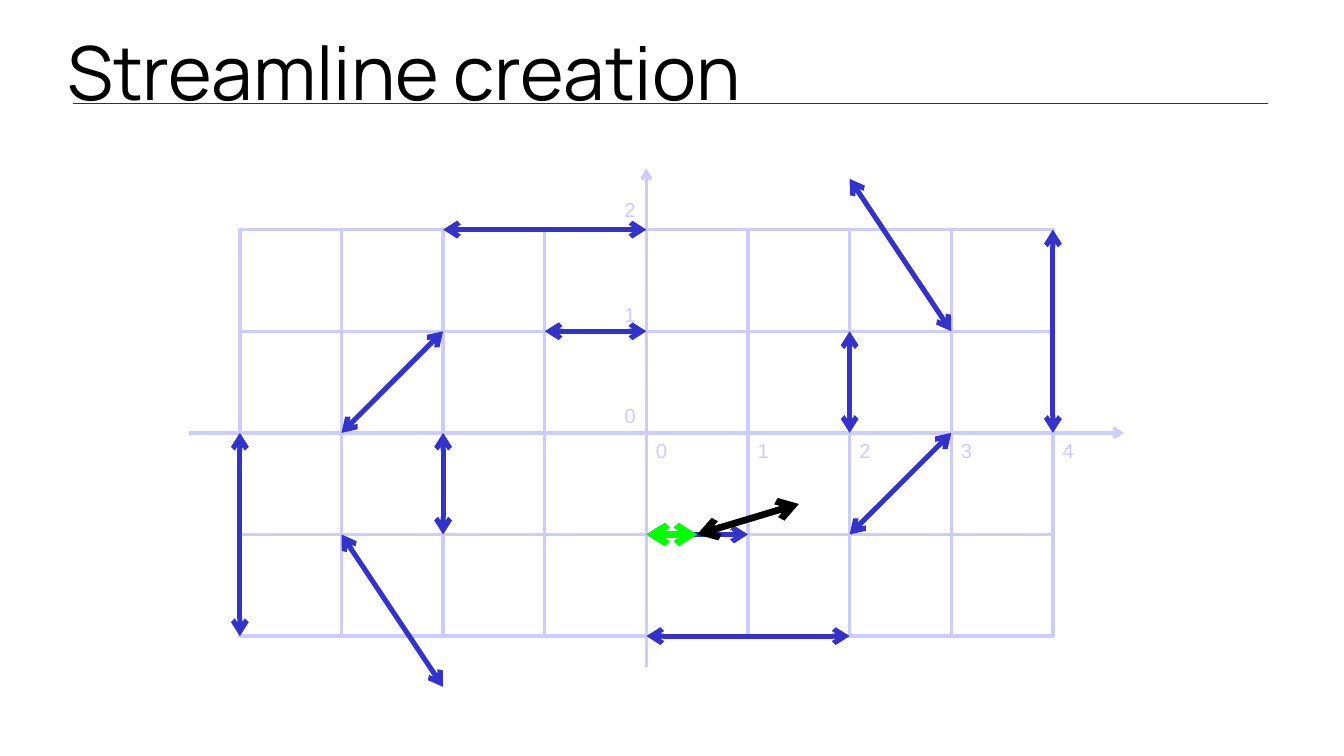
from lxml.etree import SubElement
from pptx import Presentation
from pptx.dml.color import RGBColor as RGB
from pptx.enum.shapes import MSO_CONNECTOR as LINK, MSO_SHAPE as SHAPE
from pptx.enum.text import MSO_ANCHOR as ANCHOR, PP_ALIGN as ALIGN
from pptx.oxml.ns import qn
from pptx.util import Inches, Pt

COLORS = {"rule": "333333", "grid": "CCCCFF", "field": "3333CC",
          "step": "00FF00", "next": "000000", "title": "000000"}
WIDTH, HEIGHT = 11.02, 6.2
UNIT = 5 / 6                      # one grid cell, in inches
ORIGIN_X, ORIGIN_Y = 5.3, 3.55    # where the axes cross
LABEL_W, LABEL_H = 0.29, 0.3

deck = Presentation()
deck.slide_width, deck.slide_height = Inches(WIDTH), Inches(HEIGHT)
slide = deck.slides.add_slide(deck.slide_layouts[6])


def draw_line(start, end, color, weight, ends=()):
    """Draw a line between two points in grid units, y pointing up."""
    (x1, y1), (x2, y2) = start, end
    line = slide.shapes.add_connector(
        LINK.STRAIGHT,
        Inches(ORIGIN_X + x1 * UNIT), Inches(ORIGIN_Y - y1 * UNIT),
        Inches(ORIGIN_X + x2 * UNIT), Inches(ORIGIN_Y - y2 * UNIT))
    line.line.color.rgb = RGB.from_string(COLORS[color])
    line.line.width = Pt(weight)
    for end_tag in ends:
        SubElement(line.line._get_or_add_ln(), qn(end_tag), type="arrow")
    SubElement(line._element.spPr, qn("a:effectLst"))
    return line


def write(text, left, top, width, height, frame_format, font_format, color, align):
    """Place one line of text, vertically centred."""
    frame = slide.shapes.add_textbox(
        Inches(left), Inches(top), Inches(width), Inches(height)).text_frame
    for name, value in frame_format.items():
        setattr(frame, name, value)
    frame.vertical_anchor = ANCHOR.MIDDLE
    paragraph = frame.paragraphs[0]
    paragraph.alignment = align
    run = paragraph.add_run()
    run.text = text
    for name, value in font_format.items():
        setattr(run.font, name, value)
    run.font.color.rgb = RGB.from_string(COLORS[color])


# Rule under the title
rule_y = (ORIGIN_Y - 0.85) / UNIT
draw_line(((0.6 - ORIGIN_X) / UNIT, rule_y), ((10.4 - ORIGIN_X) / UNIT, rule_y),
          "rule", 1)

# Grid cells, keyed by their lower left corner
cells = {}
for col in range(-4, 4):
    for row in range(-2, 2):
        cell = slide.shapes.add_shape(
            SHAPE.RECTANGLE,
            Inches(ORIGIN_X + col * UNIT), Inches(ORIGIN_Y - (row + 1) * UNIT),
            Inches(UNIT), Inches(UNIT))
        cell.fill.background()
        cell.line.color.rgb = RGB.from_string(COLORS["grid"])
        cell.line.width = Pt(2)
        cell.shadow.inherit = False
        cells[col, row] = cell

# Axes
for start, end in [((-4.5, 0), (4.7, 0)), ((0, -2.3), (0, 2.6))]:
    draw_line(start, end, "grid", 2, ["a:tailEnd"])

# Axis numbers
label_places = [(str(n), ORIGIN_X + n * UNIT - 0.02, ORIGIN_Y - 0.01)
                for n in range(5)]
label_places += [(str(n), ORIGIN_X - 0.28, top)
                 for n, top in enumerate([3.26, 2.43, 1.57])]
for number, left, top in label_places:
    write(number, left, top, LABEL_W, LABEL_H, {"word_wrap": False},
          {"size": Pt(12), "name": "Arial"}, "grid", ALIGN.CENTER)

# Vector field
BOTH = ["a:headEnd", "a:tailEnd"]
field_vectors = [
    ((0, -1), (1, -1)),
    ((2, 0), (2, 1)),
    ((4, 0), (4, 2)),
    ((-4, 0), (-4, -2)),
    ((-2, 0), (-2, -1)),
    ((0, 1), (-1, 1)),
    ((0, 2), (-2, 2)),
    ((0, -2), (2, -2)),
    ((2, -1), (3, 0)),
    ((-2, 1), (-3, 0)),
    ((3, 1), (2, 2.5)),
    ((-3, -1), (-2, -2.5)),
]
for start, end in field_vectors:
    draw_line(start, end, "field", 3, BOTH)

# Streamline steps, meeting at the bottom middle of one cell
first_step = draw_line((0, -1), (0.5, -1), "step", 4, BOTH)
first_step.end_connect(cells[0, -1], 2)
next_step = draw_line((0.5, -1), (1.5, -0.7), "next", 4, BOTH)
next_step.begin_connect(cells[0, -1], 2)

# Title
no_margins = dict.fromkeys(
    ["margin_left", "margin_right", "margin_top", "margin_bottom"], 0)
write("Streamline creation", WIDTH * 0.05, 0.16, WIDTH * 0.9, UNIT,
      {"word_wrap": True, **no_margins},
      {"size": Pt(44), "name": "Manrope"}, "title", ALIGN.LEFT)

deck.save("out.pptx")
